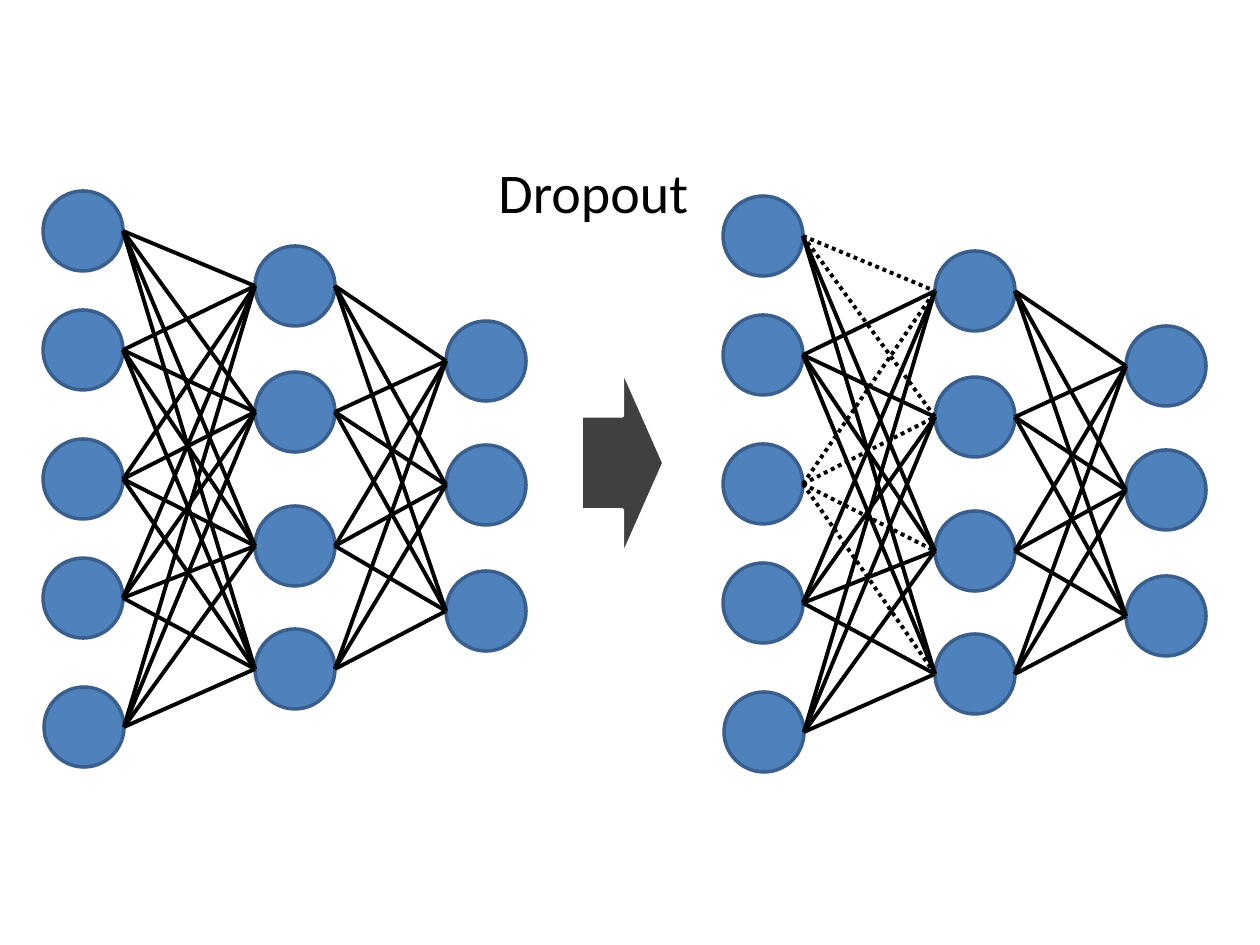
"""Build a slide that shows a neural network before and after dropout."""
from itertools import product

from lxml.etree import SubElement
from pptx import Presentation
from pptx.dml.color import RGBColor
from pptx.enum.dml import MSO_LINE
from pptx.enum.shapes import MSO_CONNECTOR, MSO_SHAPE
from pptx.enum.text import MSO_AUTO_SIZE
from pptx.oxml.ns import qn
from pptx.util import Emu, Pt

PX_PER_INCH = 126
COLORS = {
    "node": "4F81BD",
    "node_line": "3A5F8C",
    "link": "000000",
    "arrow": "404040",
    "arrow_line": "FFFFFF",
    "text": "000000",
}
NODE_SIZE = 80
LAYERS = [
    [(43, 191), (43, 310), (43, 439), (43, 558), (44, 687)],
    [(255, 246), (255, 372), (255, 506), (255, 629)],
    [(446, 321), (446, 445), (446, 571)],
]
DROPPED = {(0, 0), (0, 1), (2, 0), (2, 1), (2, 2), (2, 3)}
OVAL_LEFT, OVAL_RIGHT = 2, 6


def px(length):
    """Turn pixels into EMU."""
    return Emu(round(length * 914400 / PX_PER_INCH))


def color(name):
    """Look up a named colour."""
    return RGBColor.from_string(COLORS[name])


def add_filled_shape(page, kind, bounds, fill, line):
    """Add a preset shape with a fill and a 2 pt outline."""
    shape = page.shapes.add_shape(kind, *map(px, bounds))
    shape.shadow.inherit = False
    shape.fill.solid()
    shape.fill.fore_color.rgb = color(fill)
    shape.line.color.rgb = color(line)
    shape.line.width = Pt(2)
    return shape


def add_link(page, source, target, dotted):
    """Join the right of one node to the left of another."""
    link = page.shapes.add_connector(MSO_CONNECTOR.STRAIGHT, 0, 0, 0, 0)
    link.begin_connect(source, 3)
    link.end_connect(target, 1)
    joints = link._element.nvCxnSpPr.cNvCxnSpPr
    joints.stCxn.idx = OVAL_RIGHT
    joints.endCxn.idx = OVAL_LEFT
    link.line.color.rgb = color("link")
    link.line.width = Pt(2.25)
    if dotted:
        link.line.dash_style = MSO_LINE.ROUND_DOT
    SubElement(link._element.spPr, qn("a:effectLst"))


def add_network(page, left, top, dropped=frozenset()):
    """Add three layers of nodes, fully linked, with dropped links dotted."""
    layers = [
        [
            add_filled_shape(page, MSO_SHAPE.OVAL,
                             (left + x, top + y, NODE_SIZE, NODE_SIZE),
                             "node", "node_line")
            for x, y in layer
        ]
        for layer in LAYERS
    ]
    inputs, hidden, outputs = layers
    for (i, source), (j, target) in product(enumerate(inputs), enumerate(hidden)):
        add_link(page, source, target, (i, j) in dropped)
    for source, target in product(hidden, outputs):
        add_link(page, source, target, False)


def add_label(page, bounds, text, size):
    """Add a line of Calibri text."""
    box = page.shapes.add_textbox(*map(px, bounds))
    frame = box.text_frame
    frame.word_wrap = True
    frame.auto_size = MSO_AUTO_SIZE.SHAPE_TO_FIT_TEXT
    span = frame.paragraphs[0].add_run()
    span.text = text
    span.font.name = "Calibri"
    span.font.size = Pt(size)
    span.font.color.rgb = color("text")


def main():
    """Build and save the deck."""
    deck = Presentation()
    deck.slide_width, deck.slide_height = px(1260), px(945)
    page = deck.slides.add_slide(deck.slide_layouts[6])
    add_network(page, 0, 0)
    add_label(page, (486, 151, 377, 81), "Dropout", 32)
    add_filled_shape(page, MSO_SHAPE.RIGHT_ARROW, (581, 369, 83, 188),
                     "arrow", "arrow_line")
    add_network(page, 680, 5, DROPPED)
    deck.save("out.pptx")


if __name__ == "__main__":
    main()
